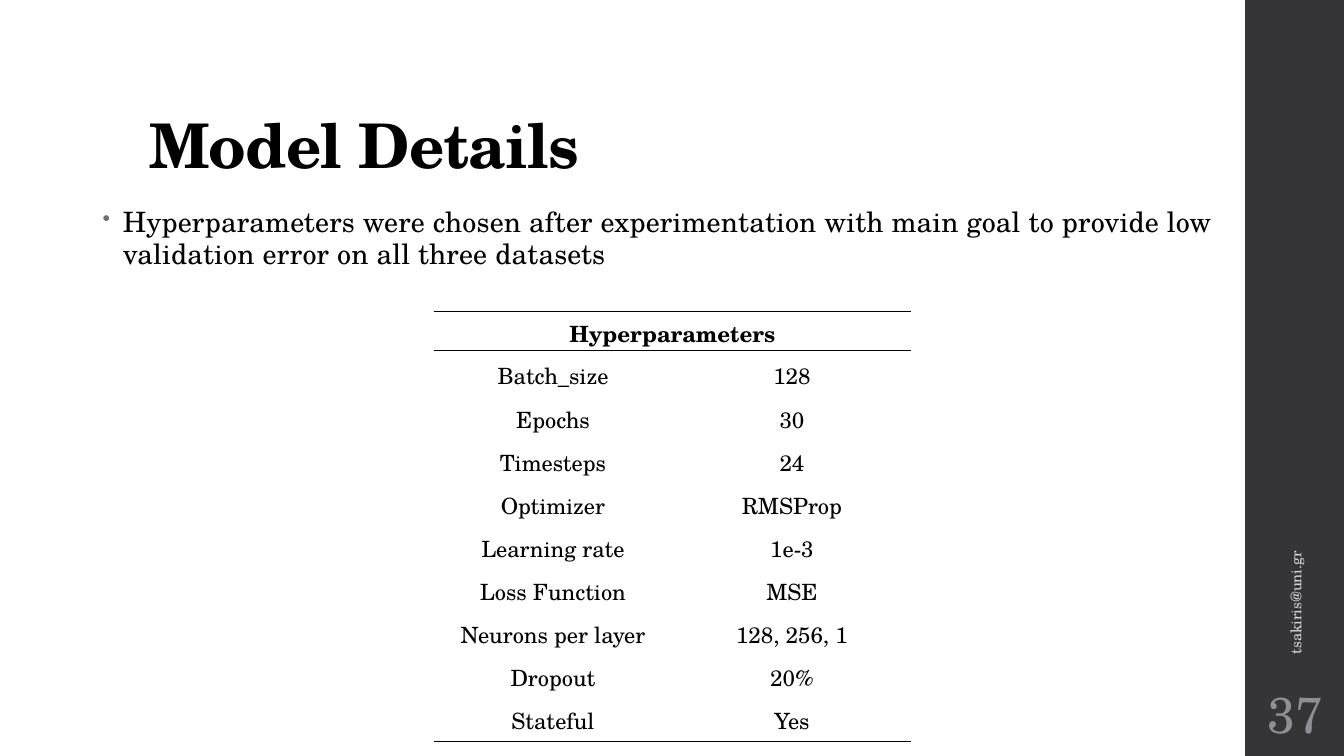
from lxml import etree
from pptx import Presentation
from pptx.dml.color import RGBColor
from pptx.enum.shapes import MSO_SHAPE
from pptx.enum.text import MSO_ANCHOR, PP_ALIGN
from pptx.oxml.ns import qn
from pptx.util import Inches, Pt

RECTANGLE = MSO_SHAPE.RECTANGLE
TOP, MIDDLE, BOTTOM = MSO_ANCHOR.TOP, MSO_ANCHOR.MIDDLE, MSO_ANCHOR.BOTTOM
LEFT, CENTER = PP_ALIGN.LEFT, PP_ALIGN.CENTER

BLACK = RGBColor(0x00, 0x00, 0x00)
SIDEBAR = RGBColor(0x35, 0x35, 0x37)
EMAIL = RGBColor(0xD9, 0xD9, 0xDB)
PAGE_NUMBER = RGBColor(0x8E, 0x8E, 0x94)
BULLET = RGBColor(0x6F, 0x6F, 0x74)

FONT = "TeX Gyre Schola"
NO_STYLE_NO_GRID = "{2D5ABB26-0587-4C30-8999-92F81FD0307C}"
TABLE_LEFT, TABLE_WIDTH = 4.3, 4.74

HYPERPARAMETERS = [
    ("Batch_size", "128"),
    ("Epochs", "30"),
    ("Timesteps", "24"),
    ("Optimizer", "RMSProp"),
    ("Learning rate", "1e-3"),
    ("Loss Function", "MSE"),
    ("Neurons per layer", "128, 256, 1"),
    ("Dropout", "20%"),
    ("Stateful", "Yes"),
]


def style_paragraph(paragraph, size, color=BLACK, bold=False, align=LEFT):
    paragraph.alignment = align
    font = paragraph.font
    font.name = FONT
    font.size = Pt(size)
    font.bold = bold
    font.color.rgb = color


def add_sidebar(slide):
    shape = slide.shapes.add_shape(
        RECTANGLE, Inches(12.35), Inches(0), Inches(1), Inches(7.5))
    shape.shadow.inherit = False
    shape.fill.solid()
    shape.fill.fore_color.rgb = SIDEBAR
    shape.line.fill.background()


def add_text(slide, box, text, size, color=BLACK, bold=False, align=LEFT, anchor=TOP):
    shape = slide.shapes.add_textbox(*map(Inches, box))
    frame = shape.text_frame
    frame.word_wrap = True
    frame.vertical_anchor = anchor
    paragraph = frame.paragraphs[0]
    paragraph.text = text
    style_paragraph(paragraph, size, color, bold, align)
    return shape


def set_letter_spacing(paragraph, points):
    for run in paragraph.runs:
        run.font._element.set("spc", str(round(points * 100)))


def add_bullet(paragraph):
    properties = paragraph._p.get_or_add_pPr()
    properties.set("marL", str(Inches(0.2)))
    properties.set("indent", str(-Inches(0.2)))
    color = etree.Element(qn("a:buClr"))
    etree.SubElement(color, qn("a:srgbClr"), val=str(BULLET))
    size = etree.Element(qn("a:buSzPct"), val="80000")
    character = etree.Element(qn("a:buChar"), char="•")
    default_font = properties.find(qn("a:defRPr"))
    for element in (color, size, character):
        default_font.addprevious(element)


def add_table(slide, top, row_count, column_count, row_height):
    frame = slide.shapes.add_table(
        row_count, column_count, Inches(TABLE_LEFT), Inches(top),
        Inches(TABLE_WIDTH), Inches(row_height * row_count))
    table = frame.table
    table.first_row = False
    table.horz_banding = False
    table._tbl.tblPr.find(qn("a:tableStyleId")).text = NO_STYLE_NO_GRID
    for cell in table.iter_cells():
        cell.fill.background()
    return table


def add_border(cell, side):
    line = etree.Element(qn(f"a:{side}"), w=str(Pt(1)))
    fill = etree.SubElement(line, qn("a:solidFill"))
    etree.SubElement(fill, qn("a:srgbClr"), val=str(BLACK))
    cell._tc.get_or_add_tcPr().insert(0, line)


def fill_cell(cell, text, bold=False):
    cell.vertical_anchor = MIDDLE
    paragraph = cell.text_frame.paragraphs[0]
    paragraph.text = text
    style_paragraph(paragraph, 16, bold=bold, align=CENTER)


def add_hyperparameters(slide):
    table = add_table(slide, 3.09, len(HYPERPARAMETERS) + 1, 2, 0.427)
    header = table.cell(0, 0)
    header.merge(table.cell(0, 1))
    fill_cell(header, "Hyperparameters", bold=True)
    for row, values in enumerate(HYPERPARAMETERS, start=1):
        for column, value in enumerate(values):
            fill_cell(table.cell(row, column), value)
    for column in range(2):
        add_border(table.cell(0, column), "lnT")
        add_border(table.cell(len(HYPERPARAMETERS), column), "lnB")

    header_rule = add_table(slide, 3.48, 1, 1, 0.4)
    add_border(header_rule.cell(0, 0), "lnT")


def main():
    presentation = Presentation()
    presentation.slide_width = Inches(13.33)
    presentation.slide_height = Inches(7.5)
    slide = presentation.slides.add_slide(presentation.slide_layouts[6])

    add_sidebar(slide)

    title = add_text(slide, (1.38, 0.4, 10.6, 1.45), "Model Details", 44,
                     bold=True, anchor=BOTTOM)
    title_paragraph = title.text_frame.paragraphs[0]
    title_paragraph.line_spacing = 0.9
    set_letter_spacing(title_paragraph, -0.5)

    body = add_text(slide, (0.92, 2, 11.5, 4.76),
                    "Hyperparameters were chosen after experimentation with main goal "
                    "to provide low validation error on all three datasets", 20)
    body_paragraph = body.text_frame.paragraphs[0]
    body_paragraph.line_spacing = 0.95
    body_paragraph.space_before = Pt(14)
    body_paragraph.space_after = Pt(2)
    add_bullet(body_paragraph)
    set_letter_spacing(body_paragraph, 0.1)

    email = add_text(slide, (10.89, 4.43, 3.92, 0.4), "tsakiris@uni.gr", 10.5,
                     EMAIL, anchor=MIDDLE)
    email.rotation = 270

    number = add_text(slide, (12.35, 6.75, 1, 0.65), "37", 36,
                      PAGE_NUMBER, align=CENTER, anchor=MIDDLE)
    frame = number.text_frame
    frame.margin_left = frame.margin_right = Inches(0.05)

    add_hyperparameters(slide)
    presentation.save("out.pptx")


if __name__ == "__main__":
    main()
